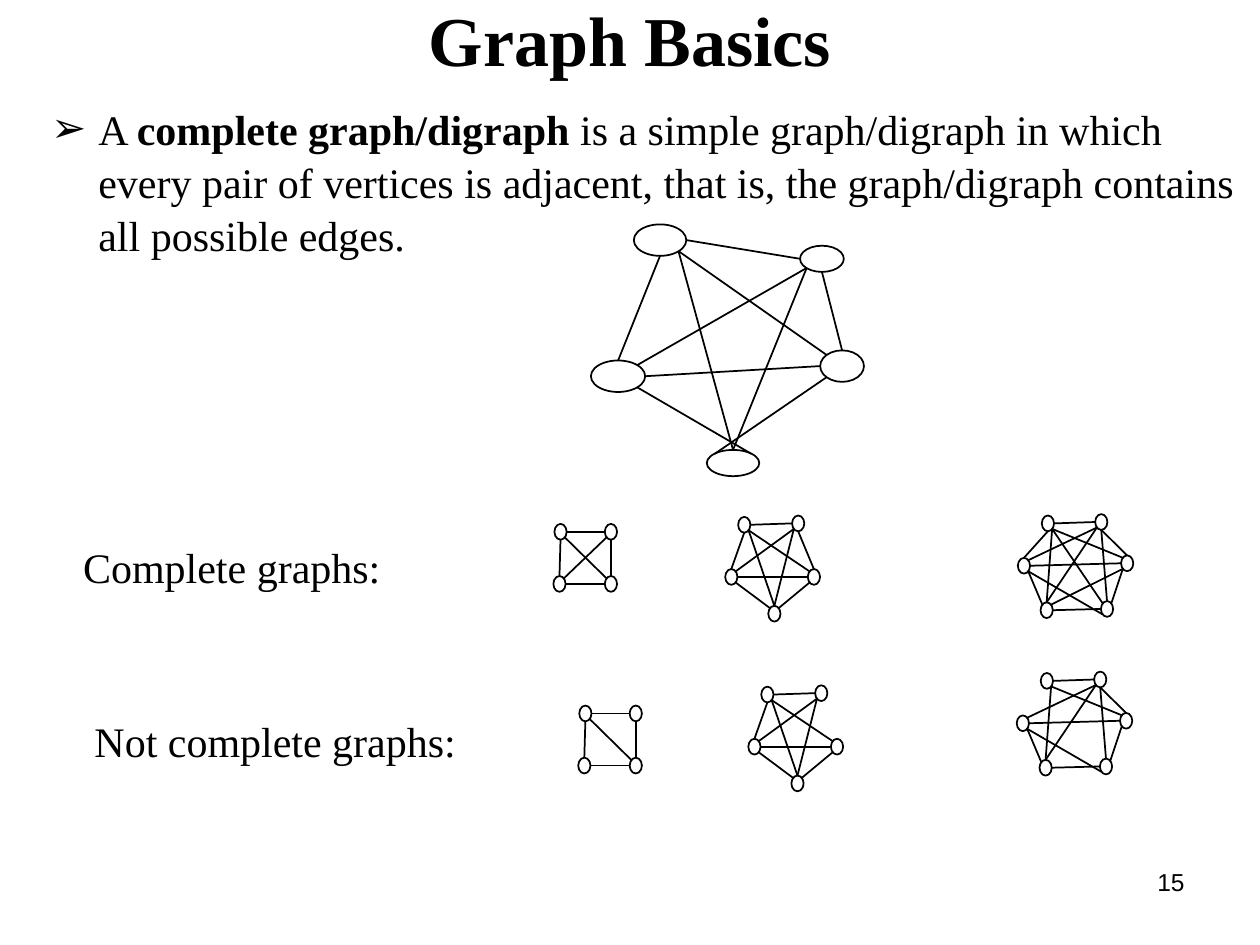
import pptx
import pptx.dml.color
import pptx.enum.shapes
import pptx.enum.text
import pptx.util
from dataclasses import dataclass
from lxml import etree
from pptx.oxml.ns import qn

Pt = pptx.util.Pt
ALIGN = pptx.enum.text.PP_ALIGN
ANCHOR = pptx.enum.text.MSO_ANCHOR


@dataclass(frozen=True)
class Theme:
    ink: pptx.dml.color.RGBColor = pptx.dml.color.RGBColor(0, 0, 0)
    serif: str = "Times New Roman"
    sans: str = "Arial"
    title: int = 40
    text: int = 24
    number: int = 14
    stroke: int = 1


THEME = Theme()

# Points on a vertex where an edge may end, as shares of its width and height.
SITES = {
    "n": (0.5, 0), "ne": (0.85, 0.15), "e": (1, 0.5), "se": (0.85, 0.85),
    "s": (0.5, 1), "sw": (0.15, 0.85), "w": (0, 0.5), "nw": (0.15, 0.15),
}

# Each larger complete graph adds one vertex and its edges to the one before.
K4_EDGES = ["A.e B.w", "B.s C.n", "C.w D.e", "D.n A.s", "B.sw D.ne", "C.nw A.se"]
K5_EDGES = K4_EDGES + ["E.nw D.se", "E.ne C.sw", "E.n B.sw", "A.se E.n"]
K6_EDGES = K5_EDGES + ["F.ne C.sw", "F.w E.e", "F.n B.s", "F.nw A.se", "F.sw D.se"]

# Vertices as left, top, width, height within the graph's box.
PENTAGON_LARGE = {
    "A": (24.5, 0, 30, 18), "B": (119.5, 12.2, 25, 15), "C": (131, 72, 25, 18),
    "D": (0, 77.8, 31, 18), "E": (66.2, 128.9, 30, 15),
}


def small_vertices(**corners):
    return {name: (x, y, 7, 9) for name, (x, y) in corners.items()}


SQUARE = small_vertices(A=(0.6, 0), B=(29.4, 0), C=(29.4, 29.8), D=(0, 29.8))
PENTAGON = small_vertices(A=(7.4, 0.8), B=(38.2, 0), C=(47.2, 30.6), D=(0, 30.6),
                          E=(24.6, 51.6))
HEXAGON = small_vertices(A=(13.7, 0.8), B=(44.2, 0), C=(59, 23.6), D=(0, 25),
                         E=(13, 50.4), F=(47.5, 49.7))


def without(edges, *missing):
    return [edge for edge in edges if edge not in missing]


def style_font(paragraph, size, face, bold=None):
    font = paragraph.font
    font.size, font.name, font.bold = Pt(size), face, bold
    font.color.rgb = THEME.ink


def place(shape, box):
    shape.left, shape.top, shape.width, shape.height = (Pt(v) for v in box)


def add_title(slide, box, words):
    title = slide.shapes.title
    place(title, box)
    frame = title.text_frame
    frame.auto_size = pptx.enum.text.MSO_AUTO_SIZE.NONE
    frame.vertical_anchor = ANCHOR.MIDDLE
    frame.text = words
    frame.paragraphs[0].alignment = ALIGN.CENTER
    style_font(frame.paragraphs[0], THEME.title, THEME.serif, True)


def add_definition(slide, box, runs):
    """Fill the body with one bulleted paragraph of (words, bold) runs."""
    body = slide.placeholders[1]
    place(body, box)
    body.text_frame.auto_size = pptx.enum.text.MSO_AUTO_SIZE.NONE
    definition = body.text_frame.paragraphs[0]
    properties = definition._p.get_or_add_pPr()
    properties.set("marL", str(Pt(49)))
    properties.set("indent", str(Pt(-27)))
    etree.SubElement(properties, qn("a:buChar")).set("char", "➢")
    definition.space_before = Pt(0)
    definition.line_spacing = 1.05
    style_font(definition, THEME.text, THEME.serif)
    for words, bold in runs:
        run = definition.add_run()
        run.text = words
        if bold:
            run.font.bold = True


def add_label(slide, box, words, size, face, align, wrap=False):
    label = slide.shapes.add_textbox(*(Pt(v) for v in box))
    frame = label.text_frame
    frame.word_wrap = wrap
    frame.text = words
    frame.paragraphs[0].alignment = align
    style_font(frame.paragraphs[0], size, face)


def add_graph(slide, left, top, vertices, edges):
    for x, y, width, height in vertices.values():
        vertex = slide.shapes.add_shape(
            pptx.enum.shapes.MSO_SHAPE.OVAL,
            Pt(left + x), Pt(top + y), Pt(width), Pt(height))
        vertex.shadow.inherit = False
        vertex.fill.background()
        vertex.line.color.rgb = THEME.ink
        vertex.line.width = Pt(THEME.stroke)

    def end_point(end):
        name, site = end.split(".")
        x, y, width, height = vertices[name]
        across, down = SITES[site]
        return Pt(left + x + across * width), Pt(top + y + down * height)

    for edge in edges:
        start, finish = edge.split()
        line = slide.shapes.add_connector(
            pptx.enum.shapes.MSO_CONNECTOR.STRAIGHT,
            *end_point(start), *end_point(finish))
        line.line.color.rgb = THEME.ink
        line.line.width = Pt(THEME.stroke)
        etree.SubElement(line._element.spPr, qn("a:effectLst"))


def add_graph_row(slide, label_box, label, graphs):
    add_label(slide, label_box, label, THEME.text, THEME.serif, ALIGN.CENTER)
    for graph in graphs:
        add_graph(slide, *graph)


def main():
    deck = pptx.Presentation()
    deck.slide_width, deck.slide_height = Pt(720), Pt(540)
    slide = deck.slides.add_slide(deck.slide_layouts[1])

    add_title(slide, (36, 6, 648, 32.4), "Graph Basics")
    add_definition(slide, (0, 54, 712.8, 293.8), [
        ("A ", False),
        ("complete graph/digraph", True),
        (" is a simple graph/digraph in which every pair of vertices is adjacent, "
         "that is, the graph/digraph contains all possible edges.", False),
    ])

    # The large pentagon's lowest vertex is mirrored, so its two side edges cross.
    crossed = without(K5_EDGES, "E.nw D.se", "E.ne C.sw") + ["E.ne D.se", "E.nw C.sw"]
    add_graph(slide, 337.7, 128.2, PENTAGON_LARGE, crossed)

    add_graph_row(slide, (40.3, 306, 184.3, 36), "Complete graphs:", [
        (316.2, 299.4, SQUARE, K4_EDGES),
        (414.4, 294.6, PENTAGON, K5_EDGES),
        (581.6, 293.8, HEXAGON, K6_EDGES),
    ])
    add_graph_row(slide, (46.8, 405.4, 221, 36), "Not complete graphs:", [
        (330.4, 403.2, SQUARE, without(K4_EDGES, "B.sw D.ne")),
        (427.6, 391.6, PENTAGON, without(K5_EDGES, "B.s C.n")),
        (581, 383.8, HEXAGON, without(K6_EDGES, "D.n A.s", "E.ne C.sw", "F.nw A.se")),
    ])
    add_label(slide, (516.2, 491.8, 167.8, 37.4), "15", THEME.number, THEME.sans,
              ALIGN.RIGHT, wrap=True)
    deck.save("out.pptx")


if __name__ == "__main__":
    main()
